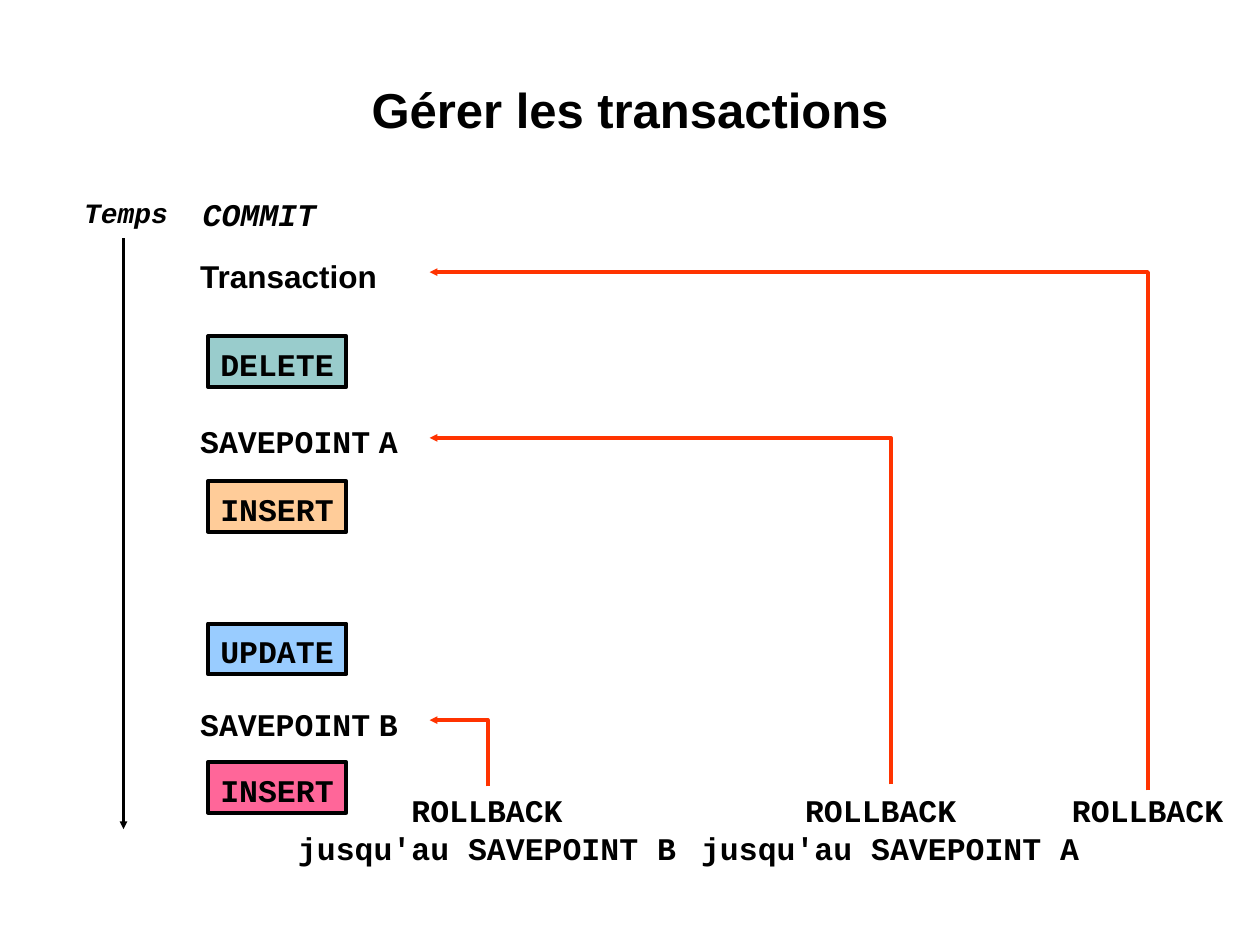
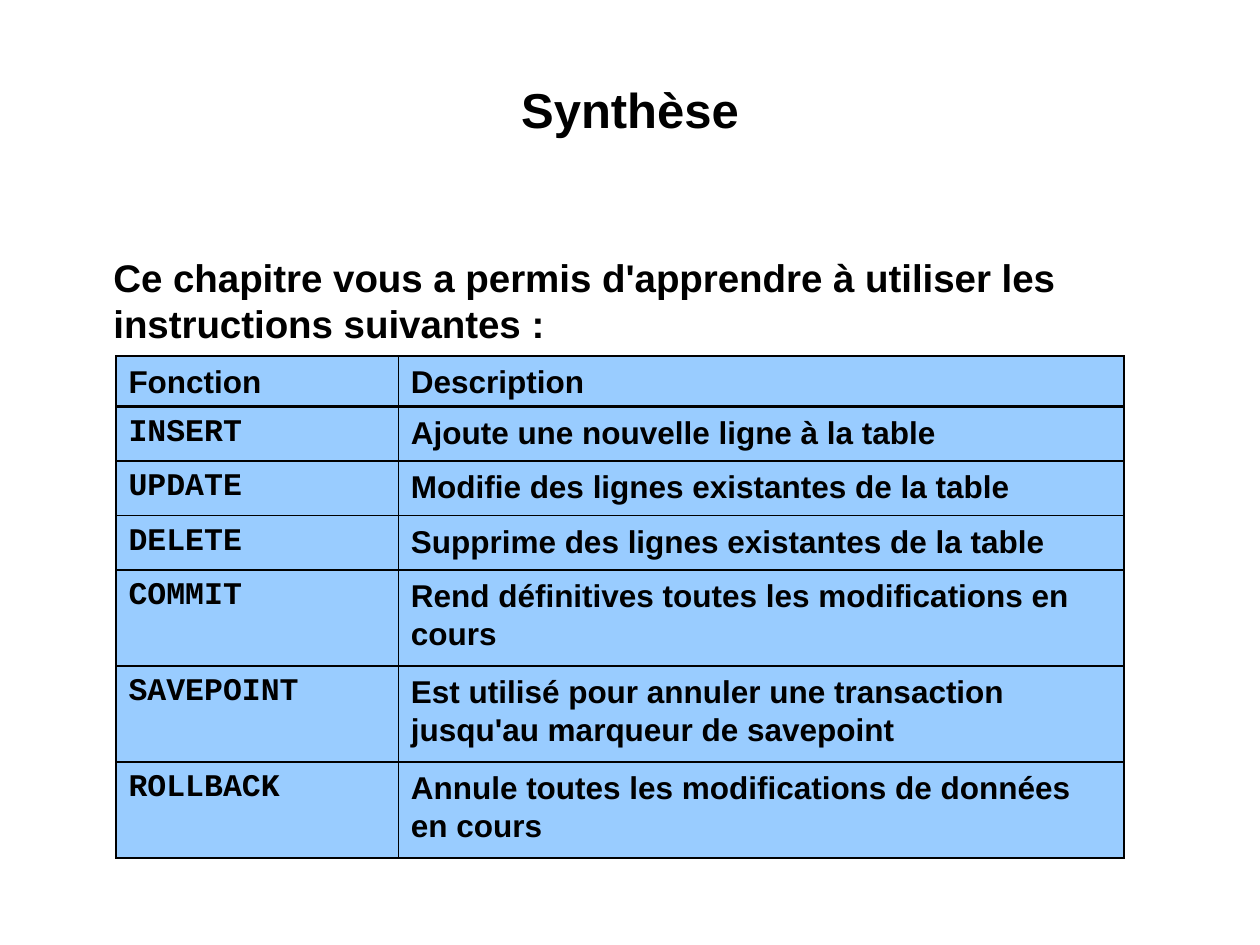
"""Build two slides about managing SQL transactions."""
from dataclasses import dataclass

from lxml import etree
from pptx import Presentation
from pptx.dml.color import RGBColor
from pptx.enum.shapes import MSO_CONNECTOR, MSO_SHAPE
from pptx.enum.text import MSO_ANCHOR, PP_ALIGN
from pptx.oxml.ns import qn
from pptx.util import Pt

LEFT, CENTER = PP_ALIGN.LEFT, PP_ALIGN.CENTER
TOP = MSO_ANCHOR.TOP
RECTANGLE = MSO_SHAPE.RECTANGLE
STRAIGHT = MSO_CONNECTOR.STRAIGHT

SANS, MONO = "Arial", "Courier New"
BLACK, ORANGE, BLUE = "000000", "FF3300", "99CCFF"
LINE_FACTOR = 1.2
STROKE = 2.25
ARROW_TIP = 245.5
SIDE_INSET, TOP_INSET = 7.2, 3.6


@dataclass(frozen=True)
class Style:
    """Look of a piece of text."""
    font: str = MONO
    size: float = 18
    italic: bool = False
    align: int = LEFT


@dataclass(frozen=True)
class Label:
    """Text on the transaction diagram, with an optional savepoint letter."""
    text: str
    left: float
    top: float
    width: float
    height: float = 28.8
    style: Style = Style()
    letter: str = ""
    wrap: bool = True


@dataclass(frozen=True)
class Statement:
    """Boxed SQL statement on the time line."""
    text: str
    top: float
    fill: str


@dataclass(frozen=True)
class Rollback:
    """Path from a ROLLBACK up and back to the point it restores."""
    x: float
    bottom: float
    top: float


TITLE_STYLE = Style(SANS, 28, align=CENTER)
INTRO_STYLE = Style(SANS, 22)
CENTERED = Style(align=CENTER)

LABELS = (
    Label("Temps", 41, 106.56, 67, 26.6, Style(size=16, italic=True)),
    Label("COMMIT", 108.7, 106.56, 102.2, style=Style(italic=True)),
    Label("Transaction", 107.3, 141.84, 116.6, style=Style(SANS), wrap=False),
    Label("SAVEPOINT", 107.3, 236.16, 161.3, letter="A"),
    Label("SAVEPOINT", 107.3, 398.16, 161.3, letter="B"),
    Label("ROLLBACK\vjusqu'au SAVEPOINT B", 157.7, 447.1, 241.2, 50.4, CENTERED),
    Label("ROLLBACK \vjusqu'au SAVEPOINT A", 386.6, 447.1, 244.1, 50.4, CENTERED),
    Label("ROLLBACK", 605.5, 447.1, 100.8, wrap=False),
)
STATEMENTS = (
    Statement("DELETE", 192.24, "99CCCC"),
    Statement("INSERT", 275.04, "FFCC99"),
    Statement("UPDATE", 356.4, BLUE),
    Statement("INSERT", 435.6, "FF6699"),
)
ROLLBACKS = (
    Rollback(278.64, 449.3, 411.5),
    Rollback(509.04, 448.2, 250.2),
    Rollback(655.92, 451.6, 155.5),
)
FUNCTIONS = (
    ("Fonction", "Description", 28.8),
    ("INSERT", "Ajoute une nouvelle ligne à la table", 31.1),
    ("UPDATE", "Modifie des lignes existantes de la table", 31.1),
    ("DELETE", "Supprime des lignes existantes de la table", 31.1),
    ("COMMIT", "Rend définitives toutes les modifications en cours", 54.9),
    ("SAVEPOINT", "Est utilisé pour annuler une transaction "
                  "jusqu'au marqueur de savepoint", 54.9),
    ("ROLLBACK", "Annule toutes les modifications de données en cours", 54.9),
)
COLUMN_WIDTHS = (161.4, 414.6)


def color(value: str) -> RGBColor:
    """Turn a hex string into a colour."""
    return RGBColor.from_string(value)


def format_run(run, style: Style, font: str) -> None:
    """Apply a style to one run."""
    run.font.name = font
    run.font.size = Pt(style.size)
    run.font.bold = True
    run.font.italic = style.italic
    run.font.color.rgb = color(BLACK)


def write(frame, text: str, style: Style, letter: str = "") -> None:
    """Fill a text frame with one styled paragraph."""
    frame.text = text
    paragraph = frame.paragraphs[0]
    paragraph.alignment = style.align
    paragraph.line_spacing = Pt(style.size * LINE_FACTOR)
    for run in paragraph.runs:
        format_run(run, style, style.font)
    if letter:
        for part, font in ((" ", SANS), (letter, style.font)):
            run = paragraph.add_run()
            run.text = part
            format_run(run, style, font)


def set_insets(frame, side: float, top: float, wrap: bool = True) -> None:
    """Set the margins, anchor and wrapping of a text frame."""
    frame.margin_left = frame.margin_right = Pt(side)
    frame.margin_top = Pt(top)
    frame.margin_bottom = Pt(0)
    frame.vertical_anchor = TOP
    frame.word_wrap = wrap


def add_text(slide, label: Label, side: float = SIDE_INSET, top: float = 5) -> None:
    """Add a text box."""
    box = slide.shapes.add_textbox(
        Pt(label.left), Pt(label.top), Pt(label.width), Pt(label.height))
    set_insets(box.text_frame, side, top, label.wrap)
    write(box.text_frame, label.text, label.style, label.letter)


def add_slide(deck, title: str):
    """Add a blank slide with the shared title."""
    slide = deck.slides.add_slide(deck.slide_layouts[6])
    add_text(slide, Label(title, 72, 41.76, 576, 69.1, TITLE_STYLE), 0.72, 3.5)
    return slide


def add_statement(slide, statement: Statement) -> None:
    """Add a boxed SQL statement."""
    box = slide.shapes.add_shape(
        RECTANGLE, Pt(118.8), Pt(statement.top), Pt(79.2), Pt(28.8))
    box.shadow.inherit = False
    box.fill.solid()
    box.fill.fore_color.rgb = color(statement.fill)
    box.line.color.rgb = color(BLACK)
    box.line.width = Pt(STROKE)
    set_insets(box.text_frame, SIDE_INSET, 5, False)
    write(box.text_frame, statement.text, Style())


def style_arrow(arrow, stroke: str) -> None:
    """Give a line its colour, width and small triangular end."""
    arrow.line.color.rgb = color(stroke)
    arrow.line.width = Pt(STROKE)
    etree.SubElement(arrow.line._get_or_add_ln(), qn("a:tailEnd"),
                     type="triangle", w="sm", len="sm")


def add_time_axis(slide) -> None:
    """Add the downward time arrow."""
    axis = slide.shapes.add_connector(
        STRAIGHT, Pt(70.56), Pt(136.1), Pt(70.56), Pt(473.8))
    style_arrow(axis, BLACK)
    etree.SubElement(axis._element.spPr, qn("a:effectLst"))


def add_rollback(slide, rollback: Rollback) -> None:
    """Add the bent arrow of a rollback."""
    builder = slide.shapes.build_freeform(Pt(rollback.x), Pt(rollback.bottom))
    builder.add_line_segments(
        ((Pt(rollback.x), Pt(rollback.top)), (Pt(ARROW_TIP), Pt(rollback.top))),
        close=False)
    route = builder.convert_to_shape()
    route.shadow.inherit = False
    route.fill.background()
    style_arrow(route, ORANGE)


def set_border(cell, side: str, width: float) -> None:
    """Draw one border of a table cell."""
    line = etree.SubElement(
        cell._tc.get_or_add_tcPr(), qn(f"a:ln{side}"), w=str(Pt(width)))
    fill = etree.SubElement(line, qn("a:solidFill"))
    etree.SubElement(fill, qn("a:srgbClr"), val=BLACK)


def add_functions(slide) -> None:
    """Add the table of SQL functions."""
    table = slide.shapes.add_table(
        len(FUNCTIONS), len(COLUMN_WIDTHS), Pt(66.24), Pt(203.6),
        Pt(sum(COLUMN_WIDTHS)), Pt(sum(row[-1] for row in FUNCTIONS))).table
    table.first_row = table.horz_banding = False
    for column, width in zip(table.columns, COLUMN_WIDTHS):
        column.width = Pt(width)
    for index, (function, description, height) in enumerate(FUNCTIONS):
        table.rows[index].height = Pt(height)
        thick = {0: "B", 1: "T"}.get(index)
        function_font = MONO if index else SANS
        for column, (text, font) in enumerate(
                ((function, function_font), (description, SANS))):
            cell = table.cell(index, column)
            for side in "LRTB":
                set_border(cell, side, 2.21 if side == thick else 1.08)
            cell.fill.solid()
            cell.fill.fore_color.rgb = color(BLUE)
            cell.margin_left = cell.margin_right = Pt(SIDE_INSET)
            cell.margin_top = cell.margin_bottom = Pt(TOP_INSET)
            write(cell.text_frame, text, Style(font))


def build_transactions(deck) -> None:
    """Build the transaction diagram."""
    slide = add_slide(deck, "Gérer les transactions")
    for statement in STATEMENTS:
        add_statement(slide, statement)
    add_time_axis(slide)
    for label in LABELS:
        add_text(slide, label)
    for rollback in ROLLBACKS:
        add_rollback(slide, rollback)


def build_summary(deck) -> None:
    """Build the summary slide."""
    slide = add_slide(deck, "Synthèse")
    intro = ("Ce chapitre vous a permis d'apprendre à utiliser les "
             "instructions suivantes :")
    add_text(slide, Label(intro, 64.1, 143.3, 580.3, 54.7, INTRO_STYLE), 0.72, 2)
    add_functions(slide)


def main() -> None:
    """Build and save the presentation."""
    deck = Presentation()
    deck.slide_width, deck.slide_height = Pt(720), Pt(540)
    build_transactions(deck)
    build_summary(deck)
    deck.save("out.pptx")


if __name__ == "__main__":
    main()
